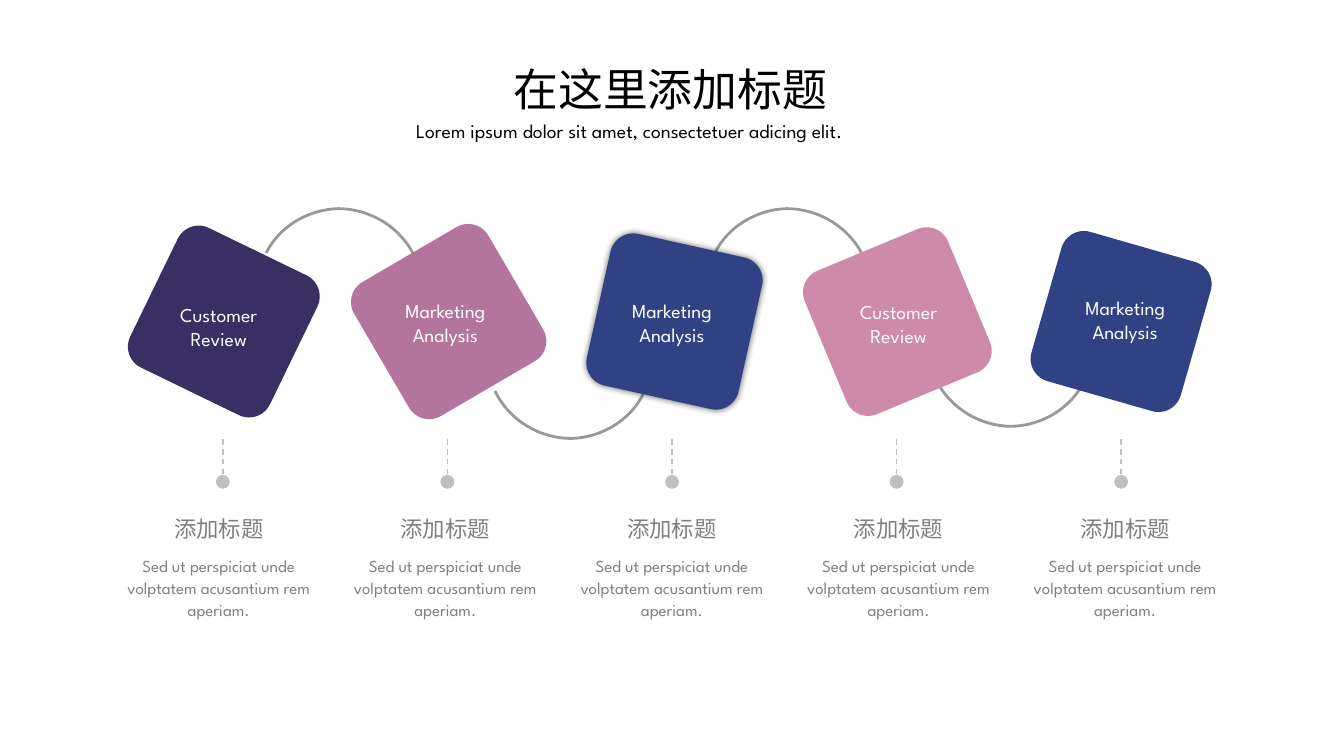
"""Builds a five-step chain of tilted tiles joined by arcs, each with a caption."""
import pptx
import pptx.dml.color
import pptx.enum.dml
import pptx.enum.shapes
import pptx.enum.text
import pptx.oxml
import pptx.oxml.ns
import pptx.util

TITLE = "在这里添加标题"
SUBTITLE = "Lorem ipsum dolor sit amet, consectetuer adicing elit."
CAPTION = "添加标题"
DETAIL = "Sed ut perspiciat unde volptatem acusantium rem aperiam."
COLORS = {"plum": "3A2F62", "mauve": "B3759B", "navy": "314284", "pink": "CE8AA9",
          "arc": "999999", "pin": "BFBFBF", "grey": "808080", "white": "FFFFFF",
          "black": "000000"}
STEPS = [
    ("Customer Review", "plum", 2.22, 25.9, 2.96, False),
    ("Marketing Analysis", "mauve", 4.45, -30.3, 2.92, False),
    ("Marketing Analysis", "navy", 6.69, 12.5, 2.92, True),
    ("Customer Review", "pink", 8.9, -22.6, 2.93, False),
    ("Marketing Analysis", "navy", 11.12, 16, 2.89, False),
]
ARCS = [(10.75, 4.23, -1), (7.09, 2.07, 1), (6.38, 4.35, -1), (2.64, 2.07, 1)]
ARC_CONTROLS = [(0, 0.44), (0.13, 0.18), (0.41, 0.01), (0.71, 0),
                (1.03, 0), (1.33, 0.18), (1.47, 0.47)]
PIN_SPAN = (2.21, 11.12)
TEXT_SPAN = (2.17, 11.16)
TILE_TOP, TILE_SIZE = 2.42, 1.54
PIN_TOP, PIN_END = 4.36, 4.78
LATIN, CHINESE = "League Spartan", "Noto Sans CJK SC"
DRAWING = "http://schemas.openxmlformats.org/drawingml/2006/main"
SHADOW = (f'<a:outerShdw xmlns:a="{DRAWING}" blurRad="63500" dist="0" dir="0">'
          '<a:srgbClr val="000000"><a:alpha val="60000"/></a:srgbClr></a:outerShdw>')
PIN_HEAD = f'<a:tailEnd xmlns:a="{DRAWING}" type="oval" w="lg" len="lg"/>'
NO_EFFECT = f'<a:effectLst xmlns:a="{DRAWING}"/>'
CURVE = f'<a:cubicBezTo xmlns:a="{DRAWING}"/>'
Align = pptx.enum.text.PP_ALIGN


def inches(*lengths):
    return [pptx.util.Inches(length) for length in lengths]


def color(name):
    return pptx.dml.color.RGBColor.from_string(COLORS[name])


def center(span, index):
    first, last = span
    return first + (last - first) * index / (len(STEPS) - 1)


def write(frame, words, size, ink, font=LATIN, align=Align.CENTER, wrap=True, spacing=None):
    frame.word_wrap = wrap
    frame.auto_size = pptx.enum.text.MSO_AUTO_SIZE.NONE
    frame.vertical_anchor = pptx.enum.text.MSO_ANCHOR.TOP
    paragraph = frame.paragraphs[0]
    paragraph.alignment = align
    if spacing:
        paragraph.line_spacing = spacing
    run = paragraph.add_run()
    run.text = words
    run.font.name = font
    run.font.size = pptx.util.Pt(size)
    run.font.color.rgb = color(ink)
    east_asian = pptx.oxml.parse_xml(f'<a:ea xmlns:a="{DRAWING}" typeface="{CHINESE}"/>')
    run.font._element.find(pptx.oxml.ns.qn("a:latin")).addnext(east_asian)


def add_text(shapes, middle, top, width, height, words, size, ink, **style):
    box = shapes.add_textbox(*inches(middle - width / 2, top, width, height))
    write(box.text_frame, words, size, ink, **style)


def add_arc(shapes, x, y, direction):
    placed = [inches(x + direction * px, y + direction * py) for px, py in ARC_CONTROLS]
    builder = shapes.build_freeform(*placed[0])
    builder.add_line_segments(placed[1:], close=False)
    arc = builder.convert_to_shape()
    segments = list(arc._element.iter(pptx.oxml.ns.qn("a:lnTo")))
    for start in range(0, len(segments), 3):
        curve = pptx.oxml.parse_xml(CURVE)
        segments[start].addprevious(curve)
        for segment in segments[start:start + 3]:
            curve.append(segment[0])
            segment.getparent().remove(segment)
    arc.shadow.inherit = False
    arc.fill.background()
    arc.line.color.rgb = color("arc")
    arc.line.width = pptx.util.Pt(2)


def add_tile(shapes, middle, fill, tilt, glow):
    tile = shapes.add_shape(pptx.enum.shapes.MSO_SHAPE.ROUNDED_RECTANGLE,
                            *inches(middle - TILE_SIZE / 2, TILE_TOP, TILE_SIZE, TILE_SIZE))
    tile.adjustments[0] = 0.15
    tile.rotation = tilt
    tile.fill.solid()
    tile.fill.fore_color.rgb = color(fill)
    tile.line.fill.background()
    tile.shadow.inherit = False
    if glow:
        effects = tile._element.spPr.find(pptx.oxml.ns.qn("a:effectLst"))
        effects.append(pptx.oxml.parse_xml(SHADOW))


def add_pin(shapes, middle):
    pin = shapes.add_connector(pptx.enum.shapes.MSO_CONNECTOR.STRAIGHT,
                               *inches(middle, PIN_TOP, middle, PIN_END))
    pin.line.color.rgb = color("pin")
    pin.line.width = pptx.util.Pt(1)
    pin.line.dash_style = pptx.enum.dml.MSO_LINE.DASH
    pin.line._get_or_add_ln().append(pptx.oxml.parse_xml(PIN_HEAD))
    pin._element.spPr.append(pptx.oxml.parse_xml(NO_EFFECT))


def main():
    deck = pptx.Presentation()
    deck.slide_width, deck.slide_height = inches(13.33, 7.5)
    slide = deck.slides.add_slide(deck.slide_layouts[5])
    shapes = slide.shapes

    title = shapes.title
    title.left, title.top, title.width, title.height = inches(4.98, 0.56, 3.34, 0.64)
    write(title.text_frame, TITLE, 32, "black", font=CHINESE, wrap=False)
    add_text(shapes, 6.67, 1.13, 5.28, 0.34, SUBTITLE, 14, "black", align=Align.LEFT)

    for arc in ARCS:
        add_arc(shapes, *arc)
    for index, (label, fill, tile_middle, tilt, label_top, glow) in enumerate(STEPS):
        text_middle = center(TEXT_SPAN, index)
        add_tile(shapes, tile_middle, fill, tilt, glow)
        add_pin(shapes, center(PIN_SPAN, index))
        add_text(shapes, text_middle, label_top, 1.21, 0.57, label, 14, "white")
        add_text(shapes, text_middle, 5.06, 1.1, 0.37, CAPTION, 16, "grey", wrap=False)
        add_text(shapes, text_middle, 5.44, 2.06, 0.75, DETAIL, 12, "grey", spacing=1.1)

    deck.save("out.pptx")


if __name__ == "__main__":
    main()
